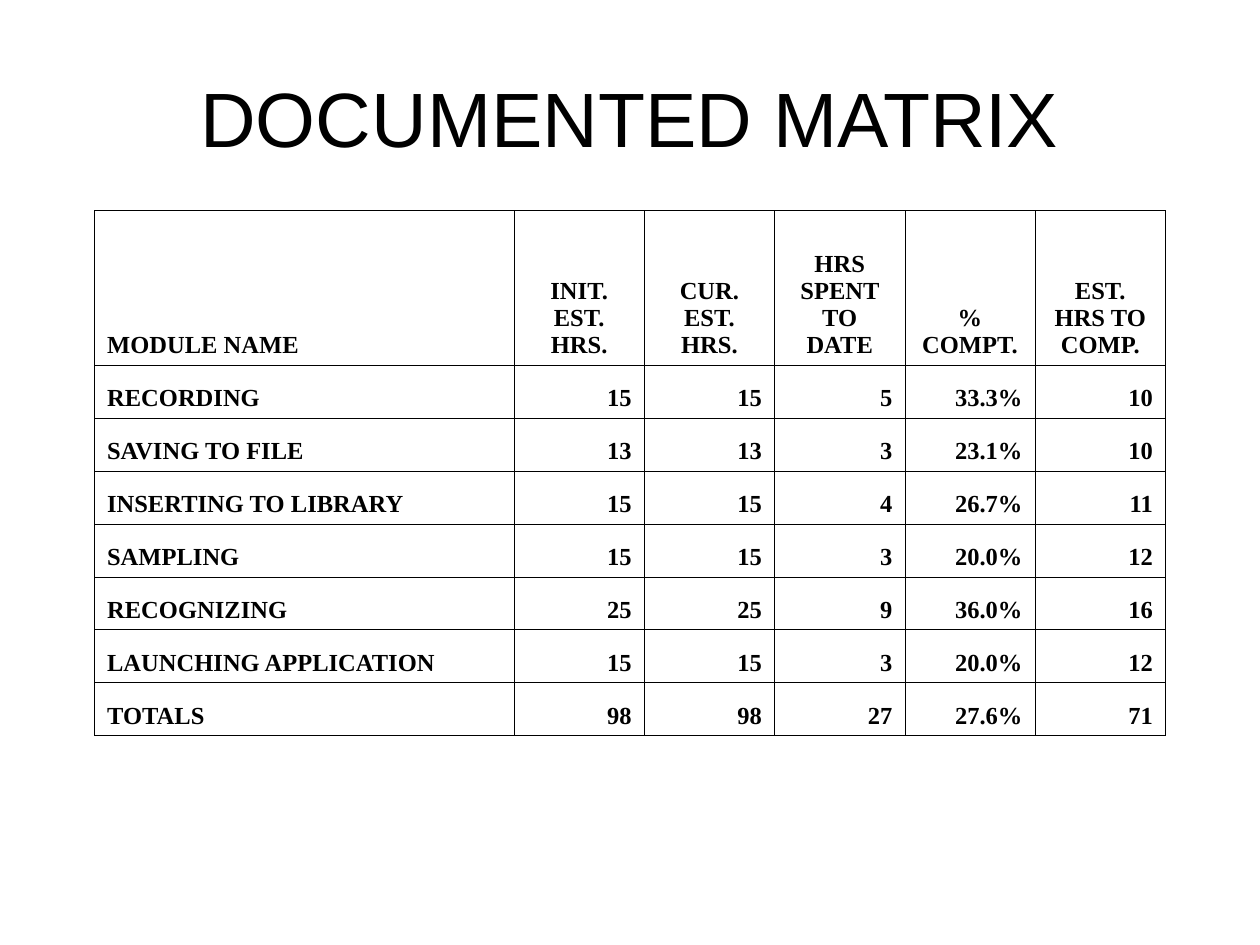
"""Build the documented matrix slide: a title and a table of module hours."""
from dataclasses import dataclass

from lxml.etree import SubElement
from pptx import Presentation
from pptx.dml.color import RGBColor
from pptx.enum.text import MSO_ANCHOR, MSO_AUTO_SIZE, PP_ALIGN
from pptx.oxml.ns import qn
from pptx.slide import Slide
from pptx.util import Inches, Pt

BLACK = RGBColor(0x00, 0x00, 0x00)
GRID_COLUMNS, GRID_ROWS = 100, 75

HEADINGS = ("MODULE NAME", "INIT. EST. HRS.", "CUR. EST. HRS.",
            "HRS SPENT TO DATE", "% COMPT.", "EST. HRS TO COMP.")
MODULES = (
    ("RECORDING", "15", "15", "5", "33.3%", "10"),
    ("SAVING TO FILE", "13", "13", "3", "23.1%", "10"),
    ("INSERTING TO LIBRARY", "15", "15", "4", "26.7%", "11"),
    ("SAMPLING", "15", "15", "3", "20.0%", "12"),
    ("RECOGNIZING", "25", "25", "9", "36.0%", "16"),
    ("LAUNCHING APPLICATION", "15", "15", "3", "20.0%", "12"),
    ("TOTALS", "98", "98", "27", "27.6%", "71"),
)


@dataclass
class MatrixSlide:
    slide: Slide
    width: int
    height: int
    title_font: str = "Arial"
    title_size: float = 44
    table_font: str = "Times New Roman"
    table_size: float = 14
    border_width: float = 0.45
    ink: RGBColor = BLACK

    def across(self, columns):
        return round(self.width * columns / GRID_COLUMNS)

    def down(self, rows):
        return round(self.height * rows / GRID_ROWS)

    def set_text(self, frame, text, align, name, size, bold):
        frame.text = text
        paragraph = frame.paragraphs[0]
        paragraph.alignment = align
        font = paragraph.font
        font.name, font.size, font.bold = name, Pt(size), bold
        font.color.rgb = self.ink

    def title(self, text, left, top, width, height):
        heading = self.slide.shapes.title
        heading.left, heading.top = self.across(left), self.down(top)
        heading.width, heading.height = self.across(width), self.down(height)
        frame = heading.text_frame
        frame.auto_size = MSO_AUTO_SIZE.NONE
        frame.vertical_anchor = MSO_ANCHOR.MIDDLE
        self.set_text(frame, text, PP_ALIGN.CENTER,
                      self.title_font, self.title_size, False)

    def borders(self, cell):
        properties = cell._tc.get_or_add_tcPr()
        for side in ("lnL", "lnR", "lnT", "lnB"):
            line = SubElement(properties, qn(f"a:{side}"), w=str(Pt(self.border_width)))
            fill = SubElement(line, qn("a:solidFill"))
            SubElement(fill, qn("a:srgbClr"), val=str(self.ink))

    def table(self, records, left, top, column_widths, row_heights):
        matrix = self.slide.shapes.add_table(
            len(row_heights), len(column_widths),
            self.across(left), self.down(top),
            self.across(sum(column_widths)), self.down(sum(row_heights))).table
        matrix.first_row = matrix.horz_banding = False
        for column, width in zip(matrix.columns, column_widths):
            column.width = self.across(width)
        for row, height in zip(matrix.rows, row_heights):
            row.height = self.down(height)
        for r, record in enumerate(records):
            for c, text in enumerate(record):
                if c == 0:
                    align = PP_ALIGN.LEFT
                else:
                    align = PP_ALIGN.RIGHT if r else PP_ALIGN.CENTER
                cell = matrix.cell(r, c)
                cell.vertical_anchor = MSO_ANCHOR.BOTTOM
                self.borders(cell)
                cell.fill.background()
                self.set_text(cell.text_frame, text, align,
                              self.table_font, self.table_size, True)


def main():
    deck = Presentation()
    deck.slide_width, deck.slide_height = Inches(10), Inches(7.5)
    page = MatrixSlide(deck.slides.add_slide(deck.slide_layouts[5]),
                       deck.slide_width, deck.slide_height)
    page.title("DOCUMENTED MATRIX", left=5, top=3, width=90, height=12.5)
    page.table((HEADINGS, *MODULES), left=7.5, top=16.7,
               column_widths=[33.3] + [10.34] * (len(HEADINGS) - 1),
               row_heights=[12.3] + [4.2] * len(MODULES))
    deck.save("out.pptx")


if __name__ == "__main__":
    main()
